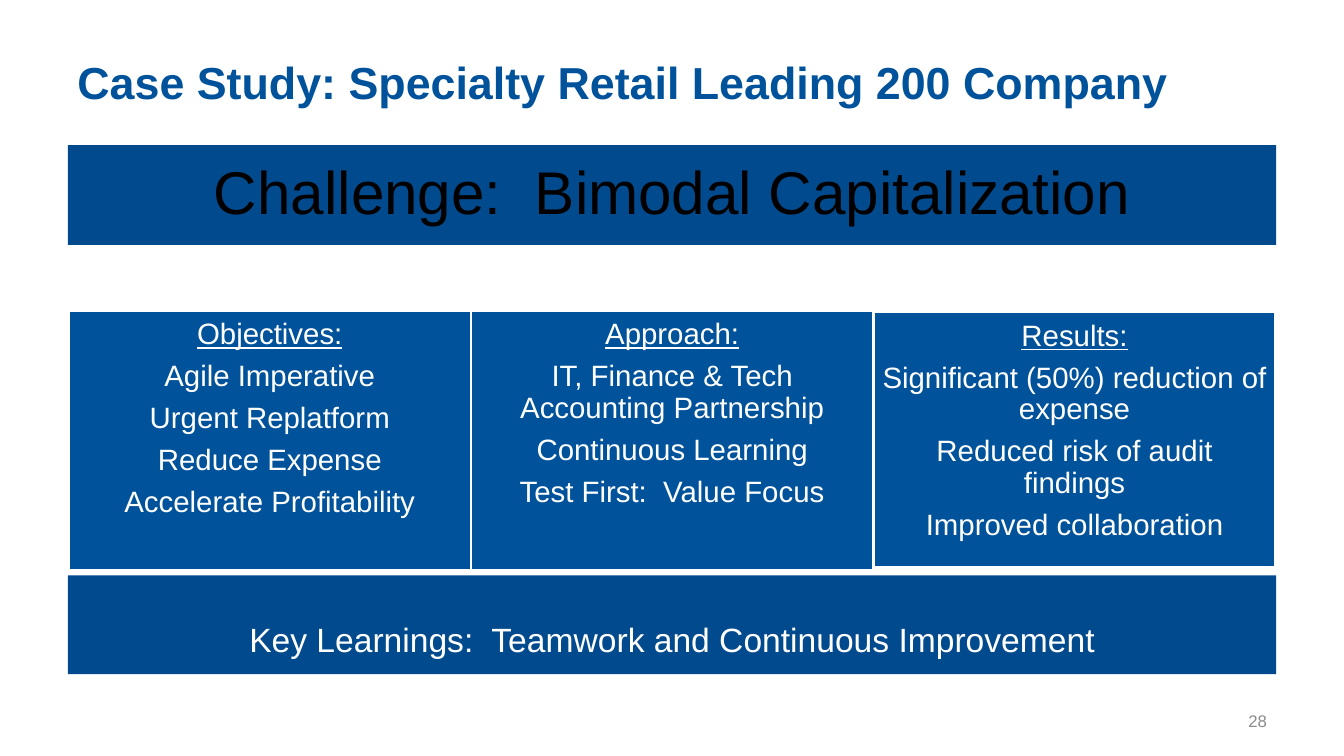
from dataclasses import dataclass

from pptx import Presentation
from pptx.dml.color import RGBColor
from pptx.enum.shapes import MSO_SHAPE
from pptx.enum.text import MSO_ANCHOR, PP_ALIGN
from pptx.util import Cm, Pt


@dataclass(frozen=True)
class Theme:
    """Colours, font and type sizes of the slide."""
    font: str = "Arial"
    blue: RGBColor = RGBColor(0x00, 0x52, 0x9B)
    dark_blue: RGBColor = RGBColor(0x00, 0x4A, 0x8D)
    white: RGBColor = RGBColor(0xFF, 0xFF, 0xFF)
    black: RGBColor = RGBColor(0x00, 0x00, 0x00)
    grey: RGBColor = RGBColor(0x8C, 0x8C, 0x8C)
    title_size: int = 32
    challenge_size: int = 43
    column_size: int = 21
    learnings_size: int = 24
    number_size: int = 12


theme = Theme()


def add_box(left, top, width, height, fill, outline=None):
    """Add a filled rectangle, outlined if a colour is given; lengths in cm."""
    shape = slide.shapes.add_shape(
        MSO_SHAPE.RECTANGLE, Cm(left), Cm(top), Cm(width), Cm(height))
    shape.shadow.inherit = False
    shape.fill.solid()
    shape.fill.fore_color.rgb = fill
    if outline is None:
        shape.line.fill.background()
    else:
        shape.line.color.rgb = outline
        shape.line.width = Pt(2)
    return shape


def write(shape, lines, size, color, anchor, inset,
          align=PP_ALIGN.CENTER, line_spacing=0.9, space_after=0):
    """Write one paragraph per line and return the paragraphs."""
    frame = shape.text_frame
    frame.word_wrap = True
    frame.vertical_anchor = anchor
    frame.margin_left = frame.margin_right = Cm(inset)
    frame.margin_top = frame.margin_bottom = Cm(inset)
    frame.text = "\n".join(lines)
    for paragraph in frame.paragraphs:
        paragraph.alignment = align
        paragraph.line_spacing = line_spacing
        paragraph.space_after = Pt(space_after)
        paragraph.font.name = theme.font
        paragraph.font.size = Pt(size)
        paragraph.font.color.rgb = color
    return frame.paragraphs


presentation = Presentation()
presentation.slide_width = Cm(33.87)
presentation.slide_height = Cm(19.05)
slide = presentation.slides.add_slide(presentation.slide_layouts[6])

# Title
title = slide.shapes.add_textbox(Cm(1.7), Cm(0.56), Cm(30.48), Cm(2.44))
title_paragraphs = write(
    title, ["Case Study: Specialty Retail Leading 200 Company"],
    theme.title_size, theme.blue, MSO_ANCHOR.BOTTOM, 0.25, PP_ALIGN.LEFT)
title_paragraphs[0].font.bold = True

# Challenge band
band_left, band_width = 1.71, 30.45
challenge = add_box(band_left, 3.66, band_width, 2.51, theme.dark_blue)
write(challenge, ["Challenge:  Bimodal Capitalization"],
      theme.challenge_size, theme.black, MSO_ANCHOR.MIDDLE, 0.46)

# Three columns: top, height, heading, points
columns = [
    (7.82, 6.55, "Objectives:",
     ["Agile Imperative", "Urgent Replatform", "Reduce Expense",
      "Accelerate Profitability"]),
    (7.82, 6.55, "Approach:",
     ["IT, Finance & Tech Accounting Partnership", "Continuous Learning",
      "Test First:  Value Focus"]),
    (7.86, 6.45, "Results:",
     ["Significant (50%) reduction of expense",
      "Reduced risk of audit findings", "Improved collaboration"]),
]
column_left, column_width = 1.73, 10.14
for index, (top, height, heading, points) in enumerate(columns):
    column = add_box(column_left + index * column_width, top,
                     column_width, height, theme.blue, theme.white)
    paragraphs = write(column, [heading, *points], theme.column_size,
                       theme.white, MSO_ANCHOR.TOP, 0.23, space_after=7.2)
    paragraphs[0].font.underline = True

# Key learnings band
learnings = add_box(band_left, 14.5, band_width, 2.49, theme.dark_blue)
write(learnings, ["Key Learnings:  Teamwork and Continuous Improvement"],
      theme.learnings_size, theme.white, MSO_ANCHOR.BOTTOM, 0.37,
      line_spacing=1.0)

# Slide number
number = slide.shapes.add_textbox(Cm(24.28), Cm(17.65), Cm(7.9), Cm(1.02))
write(number, ["28"], theme.number_size, theme.grey, MSO_ANCHOR.MIDDLE, 0.25,
      PP_ALIGN.RIGHT, line_spacing=1.0)

presentation.save("out.pptx")
